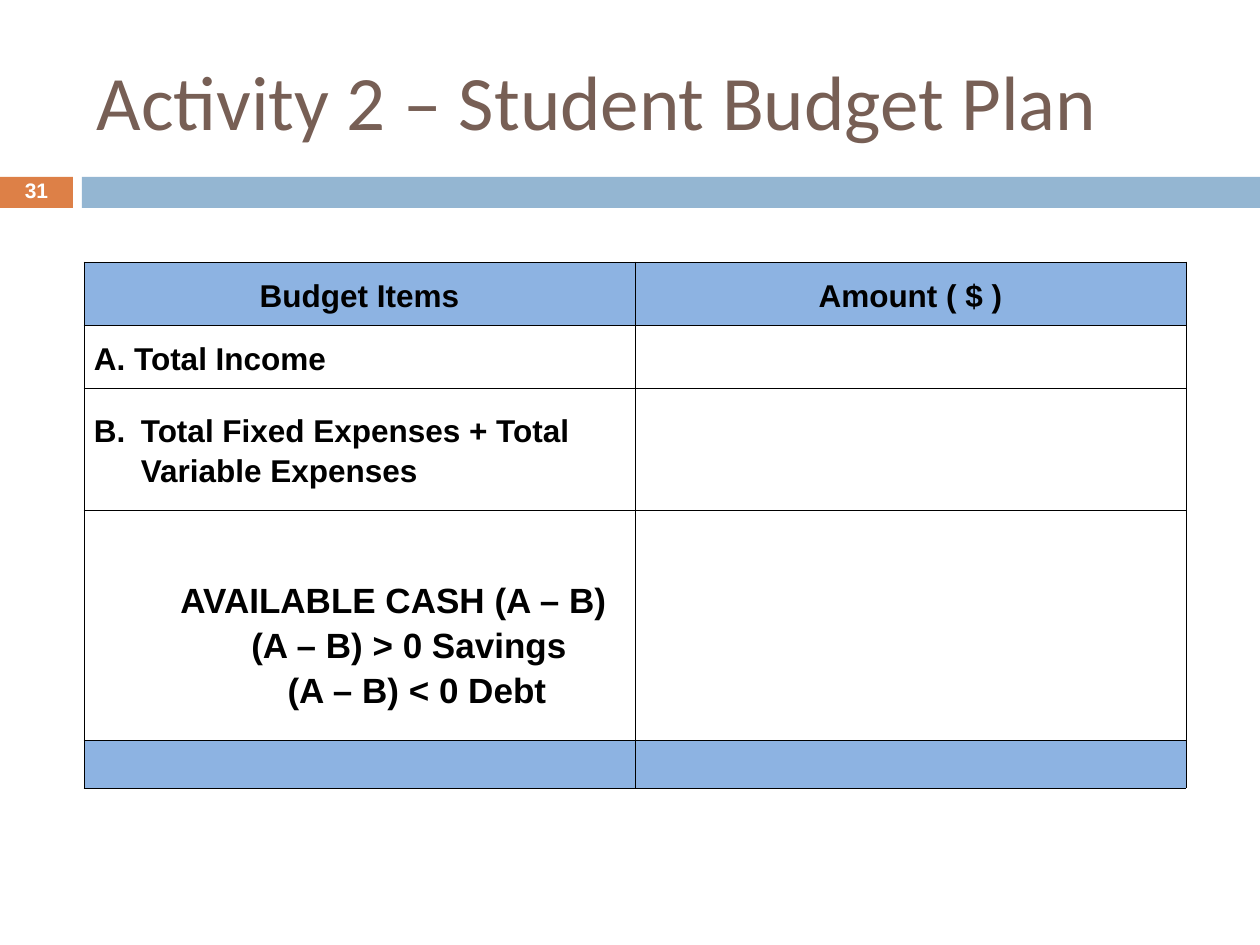
from lxml import etree
from pptx import Presentation, util as u
from pptx.dml.color import RGBColor
from pptx.enum import shapes, text
from pptx.oxml import ns

PX = 914400 / 126
BLACK = RGBColor(0x00, 0x00, 0x00)
WHITE = RGBColor(0xFF, 0xFF, 0xFF)
BROWN = RGBColor(0x77, 0x5F, 0x55)
ORANGE = RGBColor(0xDD, 0x80, 0x47)
STEEL = RGBColor(0x94, 0xB6, 0xD2)
SKY = RGBColor(0x8D, 0xB3, 0xE2)
LEFT, CENTER = text.PP_ALIGN.LEFT, text.PP_ALIGN.CENTER
ROW_HEIGHTS = (63, 63, 122, 230, 48)
COLUMN_WIDTH = 551


def px(n):
    return u.Emu(round(n * PX))


def box(*lengths):
    return [px(n) for n in lengths]


def child(parent, tag, **attrs):
    return etree.SubElement(parent, ns.qn(tag), {k: str(v) for k, v in attrs.items()})


def add_run(p, words, size, color=BLACK, name="Arial", bold=True):
    r = p.add_run()
    r.text = words
    r.font.size, r.font.name, r.font.bold = u.Pt(size), name, bold
    r.font.color.rgb = color


def add_title(s, words):
    title = s.shapes.title
    title.left, title.top, title.width, title.height = box(84, 32, 1124, 136)
    tf = title.text_frame
    tf.vertical_anchor = text.MSO_ANCHOR.MIDDLE
    p = tf.paragraphs[0]
    p.alignment = LEFT
    add_run(p, words, 44, BROWN, "Calibri", False)


def add_bar(s, left, width, color):
    sp = s.shapes.add_shape(shapes.MSO_SHAPE.RECTANGLE, *box(left, 177, width, 31))
    sp.shadow.inherit = False
    sp.fill.solid()
    sp.fill.fore_color.rgb = color
    sp.line.fill.background()


def add_page_number(s, number):
    tf = s.shapes.add_textbox(*box(0, 175, 73, 34)).text_frame
    tf.word_wrap = True
    tf.vertical_anchor = text.MSO_ANCHOR.MIDDLE
    p = tf.paragraphs[0]
    p.alignment, p.line_spacing = CENTER, 0.8
    add_run(p, number, 12, WHITE)


def format_cell(cell, fill=None):
    """Set margins, anchor and fill, and draw thin black borders."""
    cell.margin_left = cell.margin_right = px(10)
    cell.margin_top = cell.margin_bottom = px(6)
    cell.vertical_anchor = text.MSO_ANCHOR.MIDDLE
    tcPr = cell._tc.get_or_add_tcPr()
    for side in ("a:lnL", "a:lnR", "a:lnT", "a:lnB"):
        ln = child(tcPr, side, w=u.Pt(0.45))
        child(child(ln, "a:solidFill"), "a:srgbClr", val=BLACK)
    if fill is None:
        cell.fill.background()
    else:
        cell.fill.solid()
        cell.fill.fore_color.rgb = fill
    cell.text_frame.paragraphs[0].font.size = u.Pt(14)


def write_line(p, words, size=18, align=LEFT, indent=0):
    p.alignment, p.line_spacing = align, 1.15
    if indent:
        p._p.get_or_add_pPr().set("marL", str(px(indent)))
    add_run(p, words, size)


def number_line(p, start, hang):
    """Give a paragraph a hanging capital-letter number."""
    pPr = p._p.get_or_add_pPr()
    pPr.set("indent", str(-px(hang)))
    child(child(pPr, "a:buClr"), "a:srgbClr", val=BLACK)
    child(pPr, "a:buFont", typeface="Arial")
    child(pPr, "a:buAutoNum", type="alphaUcPeriod", startAt=start)


def add_budget_table(s):
    rows = len(ROW_HEIGHTS)
    frame = s.shapes.add_table(rows, 2, *box(84, 262, 2 * COLUMN_WIDTH, sum(ROW_HEIGHTS)))
    table = frame.table
    table.first_row = table.horz_banding = False
    for column in table.columns:
        column.width = px(COLUMN_WIDTH)
    for i, height in enumerate(ROW_HEIGHTS):
        table.rows[i].height = px(height)
        for cell in table.rows[i].cells:
            format_cell(cell, SKY if i in (0, rows - 1) else None)

    for j, heading in enumerate(("Budget Items", "Amount ( $ )")):
        write_line(table.cell(0, j).text_frame.paragraphs[0], heading, align=CENTER)
    write_line(table.cell(1, 0).text_frame.paragraphs[0], "A. Total Income")

    expenses = table.cell(2, 0).text_frame.paragraphs[0]
    number_line(expenses, 2, 47)
    write_line(expenses, "Total Fixed Expenses + Total Variable Expenses", indent=47)

    cash = table.cell(3, 0)
    cash.margin_top = px(43)
    tf = cash.text_frame
    lines = (("AVAILABLE CASH (A – B)", 68),
             ("(A – B) > 0 Savings", 99),
             ("(A – B) < 0 Debt", 115))
    for i, (words, indent) in enumerate(lines):
        p = tf.add_paragraph() if i else tf.paragraphs[0]
        write_line(p, words, 20, CENTER, indent)


def main():
    prs = Presentation()
    prs.slide_width, prs.slide_height = box(1260, 945)
    s = prs.slides.add_slide(prs.slide_layouts[5])
    add_bar(s, 0, 73, ORANGE)
    add_bar(s, 82, 1178, STEEL)
    add_title(s, "Activity 2 – Student Budget Plan")
    add_page_number(s, "31")
    add_budget_table(s)
    prs.save("out.pptx")


if __name__ == "__main__":
    main()
